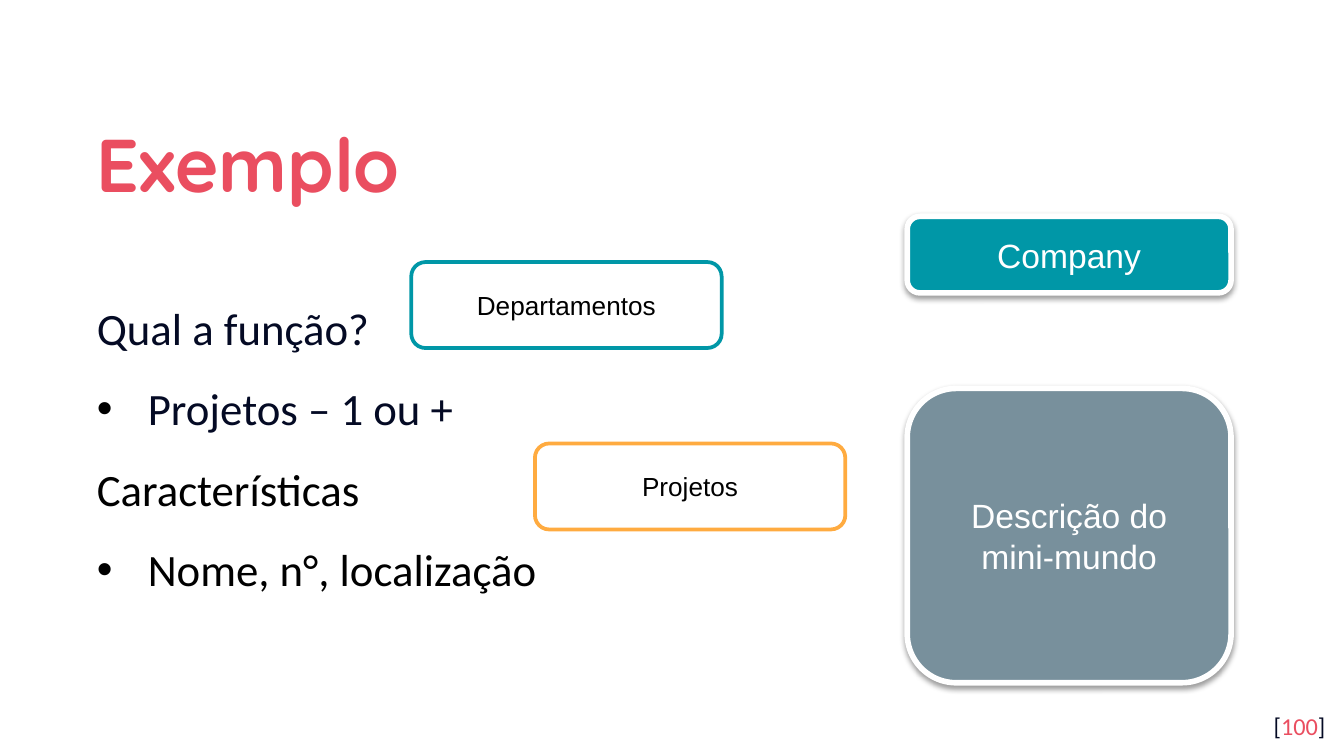
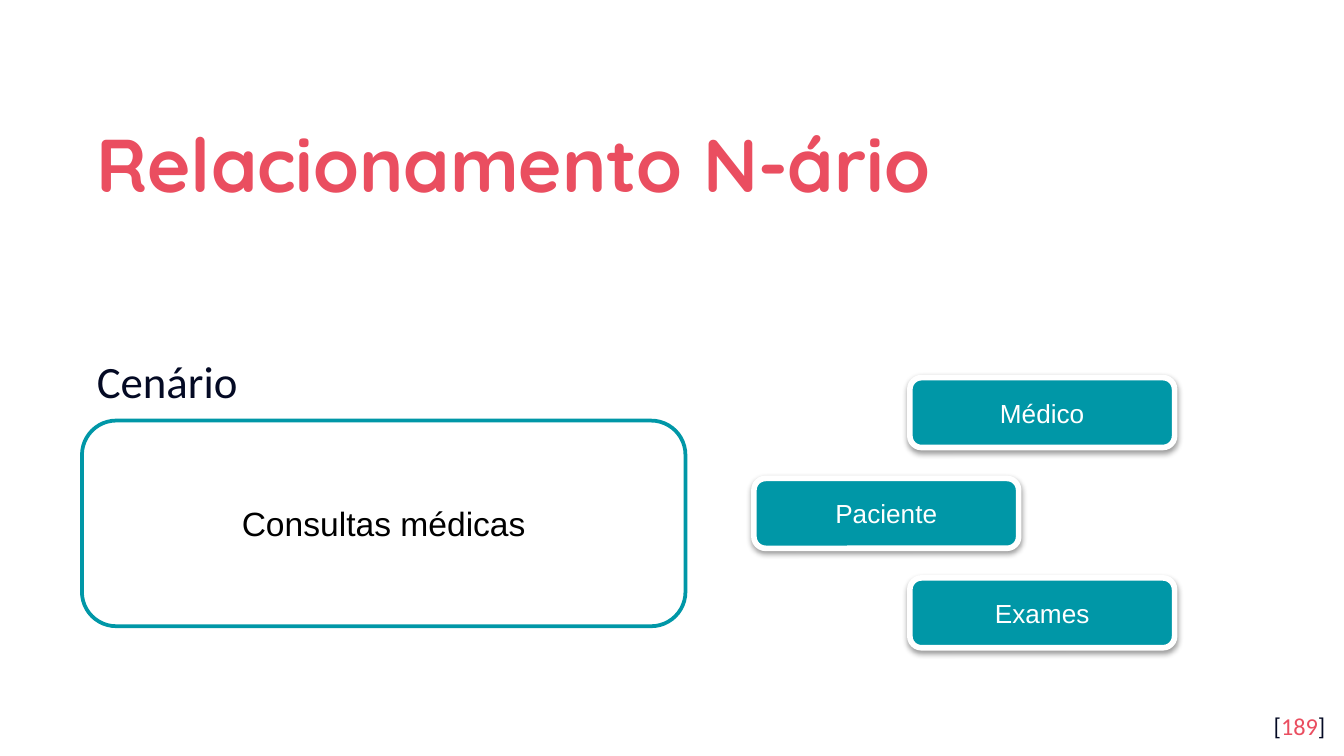
from lxml import etree
from pptx import Presentation
from pptx.dml.color import RGBColor
from pptx.enum.shapes import MSO_SHAPE
from pptx.enum.text import MSO_ANCHOR, MSO_AUTO_SIZE, PP_ALIGN
from pptx.oxml.ns import qn
from pptx.util import Pt

LEFT, CENTER, RIGHT, JUSTIFY = PP_ALIGN.LEFT, PP_ALIGN.CENTER, PP_ALIGN.RIGHT, PP_ALIGN.JUSTIFY
TOP, MIDDLE = MSO_ANCHOR.TOP, MSO_ANCHOR.MIDDLE
ROUNDED, NO_AUTOFIT = MSO_SHAPE.ROUNDED_RECTANGLE, MSO_AUTO_SIZE.NONE

PX = 9144  # 100 px to the inch
PAGE_WIDTH = 1000
TITLE_AT = (62, 70, 877, 92)
NUMBER_AT = (936, 519, 60, 43)
INSET, BULLET_INDENT = 10, 38

COLORS = {"white": "FFFFFF", "black": "000000", "navy": "040A24", "coral": "EA4E60",
          "teal": "0097A7", "slate": "78909C", "orange": "FFAB40"}

TITLE_FONT = {"name": "Quicksand", "size": Pt(40), "bold": True}
BODY_FONT = {"name": "Calibri", "size": Pt(24)}
NUMBER_FONT = {"name": "Calibri", "size": Pt(13)}

# Body lines: text, colour, bulleted. Cards: text, place, fill. Frames: text, place, line.
SLIDES = [
    {
        "title": "Exemplo",
        "number": "100",
        "body_at": (62, 162, 877, 337),
        "body_bottom_inset": INSET,
        "body_align": JUSTIFY,
        "body": [("Qual a função?", "navy", False),
                 ("Projetos – 1 ou +", "navy", True),
                 ("Características", "black", False),
                 ("Nome, n°, localização", "black", True)],
        "card_size": 18,
        "cards": [("Company", (675, 161, 241, 57), "teal"),
                  ("Descrição do mini-mundo", (675, 289, 241, 219), "slate")],
        "frame_size": 14,
        "frames": [("Departamentos", (306, 195, 231, 64), "teal"),
                   ("Projetos", (398, 330, 231, 64), "orange")],
    },
    {
        "title": "Relacionamento N-ário",
        "number": "189",
        "body_at": (62, 162, 873, 341),
        "body_bottom_inset": 114,
        "body_align": LEFT,
        "body": [("Cenário", "navy", False)],
        "card_size": 14,
        "cards": [("Médico", (677, 281, 197, 52), "teal"),
                  ("Exames", (677, 430, 197, 52), "teal"),
                  ("Paciente", (561, 356, 197, 52), "teal")],
        "frame_size": 18,
        "frames": [("Consultas médicas", (61, 313, 449, 153), "teal")],
    },
]


def rgb(color):
    return RGBColor.from_string(COLORS[color])


def scaled(place):
    return [length * PX for length in place]


def set_values(target, values):
    for name, value in values.items():
        setattr(target, name, value)


def add_span(para, text, font, color):
    span = para.add_run()
    span.text = text
    set_values(span.font, font)
    span.font.color.rgb = rgb(color)


def set_frame(box, anchor, bottom=INSET):
    set_values(box.text_frame, {
        "word_wrap": True, "auto_size": NO_AUTOFIT, "vertical_anchor": anchor,
        "margin_left": INSET * PX, "margin_right": INSET * PX,
        "margin_top": INSET * PX, "margin_bottom": bottom * PX})


def move(box, place):
    set_values(box, dict(zip(("left", "top", "width", "height"), scaled(place))))


def set_bullet(para, bulleted):
    props = para._p.get_or_add_pPr()
    indent = BULLET_INDENT * PX if bulleted else 0
    props.set("marL", str(indent))
    props.set("indent", str(-indent))
    if bulleted:
        color = etree.SubElement(props, qn("a:buClr"))
        etree.SubElement(color, qn("a:srgbClr"), val=COLORS["black"])
        etree.SubElement(props, qn("a:buFont"), typeface="Arial")
        etree.SubElement(props, qn("a:buChar"), char="•")
    else:
        etree.SubElement(props, qn("a:buNone"))


def add_shadow(shape):
    effects = shape._element.spPr.find(qn("a:effectLst"))
    shadow = etree.SubElement(effects, qn("a:outerShdw"), blurRad=str(Pt(3.1)),
                              dist=str(Pt(1.6)), dir="5400000", rotWithShape="0")
    color = etree.SubElement(shadow, qn("a:srgbClr"), val=COLORS["black"])
    etree.SubElement(color, qn("a:alpha"), val="38000")


def add_title(page, text):
    title = page.shapes.title
    move(title, TITLE_AT)
    set_frame(title, MIDDLE)
    para = title.text_frame.paragraphs[0]
    set_values(para, {"alignment": LEFT, "line_spacing": 1.15, "space_before": Pt(0)})
    add_span(para, text, TITLE_FONT, "coral")


def add_body(page, content):
    body = page.placeholders[1]
    move(body, content["body_at"])
    set_frame(body, MIDDLE, content["body_bottom_inset"])
    frame = body.text_frame
    for index, (text, color, bulleted) in enumerate(content["body"]):
        para = frame.add_paragraph() if index else frame.paragraphs[0]
        set_bullet(para, bulleted)
        set_values(para, {"alignment": content["body_align"], "line_spacing": 1.15,
                          "space_before": Pt(10 if index else 0)})
        add_span(para, text, BODY_FONT, color)


def add_number(page, number):
    box = page.shapes.add_textbox(*scaled(NUMBER_AT))
    set_frame(box, TOP)
    para = box.text_frame.paragraphs[0]
    para.alignment = RIGHT
    for text, color in (("[", "navy"), (number, "coral"), ("]", "navy")):
        add_span(para, text, NUMBER_FONT, color)


def add_rounded(page, text, place, size, fill, line, line_width, text_color):
    shape = page.shapes.add_shape(ROUNDED, *scaled(place))
    shape.shadow.inherit = False
    shape.fill.solid()
    shape.fill.fore_color.rgb = rgb(fill)
    shape.line.color.rgb = rgb(line)
    shape.line.width = Pt(line_width)
    set_values(shape.text_frame, {"word_wrap": True, "vertical_anchor": MIDDLE})
    para = shape.text_frame.paragraphs[0]
    para.alignment = CENTER
    add_span(para, text, {"name": "Arial", "size": Pt(size)}, text_color)
    return shape


def add_page(deck, content):
    page = deck.slides.add_slide(deck.slide_layouts[1])
    add_title(page, content["title"])
    add_body(page, content)
    add_number(page, content["number"])
    for text, place, fill in content["cards"]:
        add_shadow(add_rounded(page, text, place, content["card_size"],
                               fill, "white", 3, "white"))
    for text, place, line in content["frames"]:
        add_rounded(page, text, place, content["frame_size"], "white", line, 2, "black")


def main():
    deck = Presentation()
    deck.slide_width = PAGE_WIDTH * PX
    deck.slide_height = deck.slide_width * 9 // 16
    for content in SLIDES:
        add_page(deck, content)
    deck.save("out.pptx")


if __name__ == "__main__":
    main()
